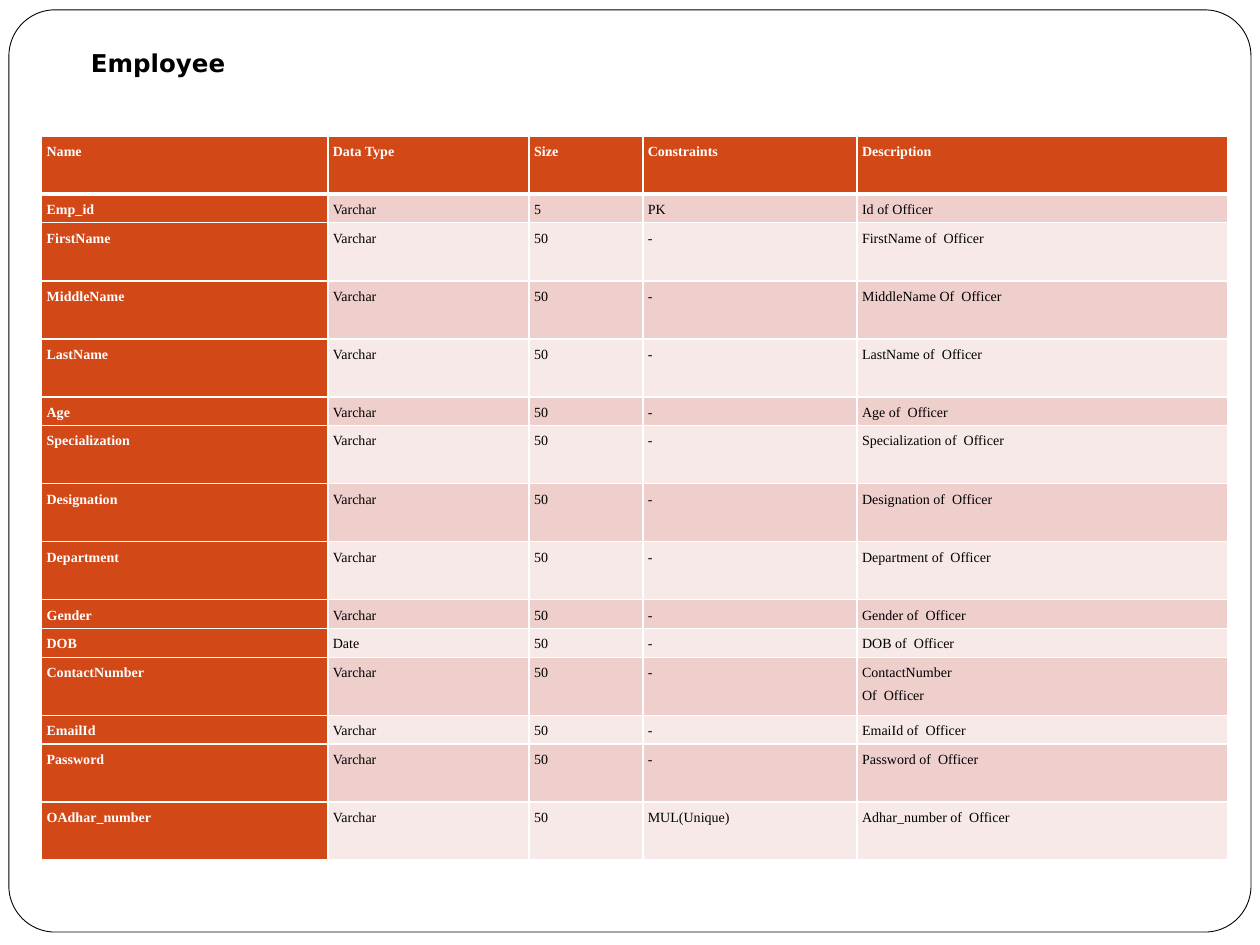
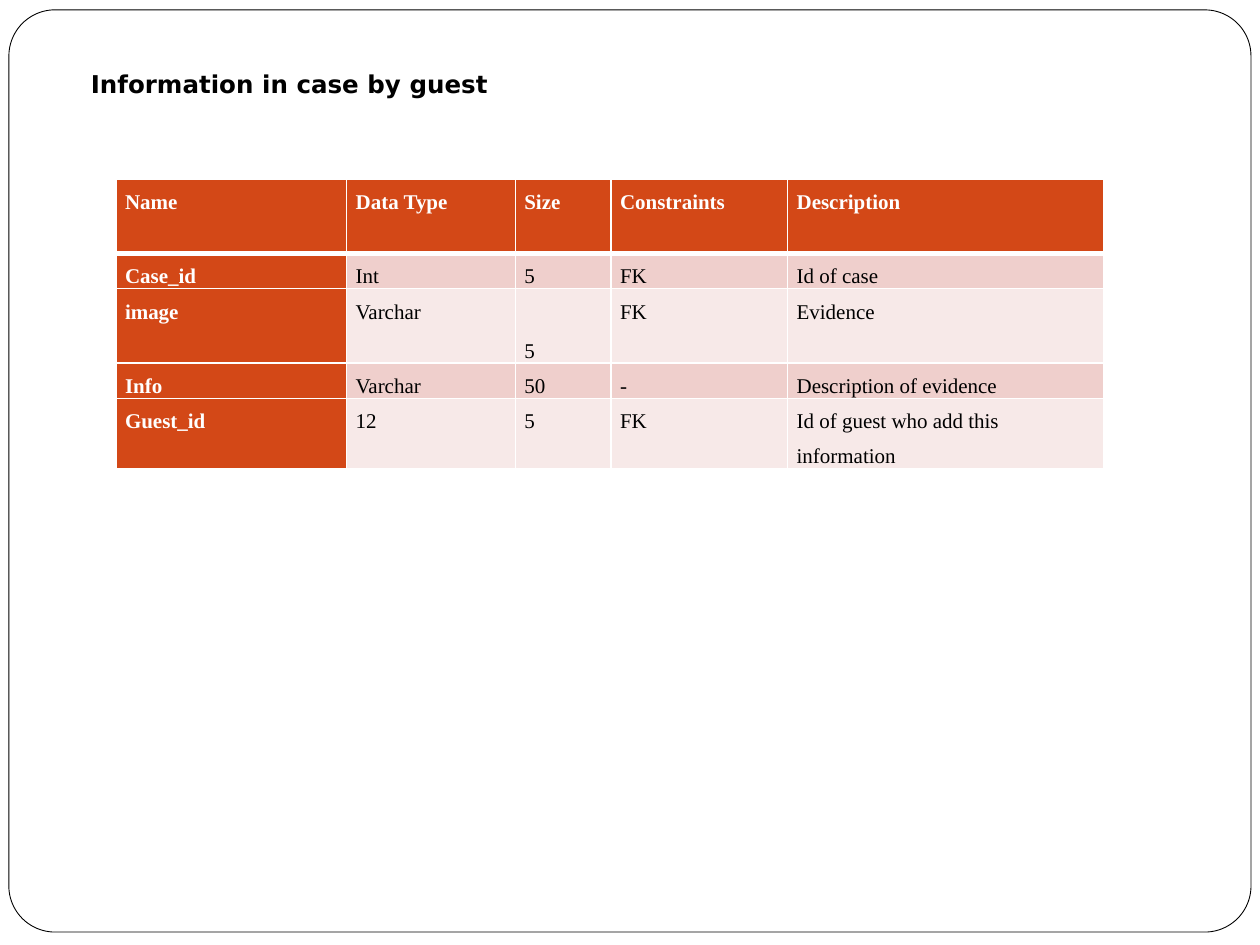
from dataclasses import dataclass

from lxml.etree import SubElement
from pptx import Presentation
from pptx.dml.color import RGBColor
from pptx.enum.shapes import MSO_SHAPE as Preset
from pptx.enum.text import MSO_ANCHOR as Anchor, PP_ALIGN as Align
from pptx.oxml.ns import qn
from pptx.slide import Slide
from pptx.table import _Cell as Cell
from pptx.text.text import TextFrame
from pptx.util import Cm, Pt

COLOURS = {
    "white": "FFFFFF",
    "black": "000000",
    "accent": "D34817",
    "band_dark": "EFCFCC",
    "band_light": "F7E9E8",
}
TITLE_FONT = "DejaVu Sans"
TABLE_FONT = "Times New Roman"
HEADERS = ("Name", "Data Type", "Size", "Constraints", "Description")


@dataclass
class Field:
    """One row of a data dictionary table."""
    name: str
    description: str
    data_type: str = "Varchar"
    size: str = "50"
    constraint: str = "-"
    tall: bool = True
    size_anchor: Anchor = Anchor.TOP

    def values(self) -> tuple[str, ...]:
        return self.name, self.data_type, self.size, self.constraint, self.description


@dataclass
class DictionaryTable:
    """A titled table; all lengths are in centimetres."""
    title: str
    title_top: float
    left: float
    top: float
    widths: tuple[float, ...]
    tall_row: float
    short_row: float
    font_size: float
    side_margin: float
    fields: list[Field]


EMPLOYEE = DictionaryTable(
    title="Employee", title_top=0.84, left=0.84, top=2.74,
    widths=(5.77, 4.06, 2.29, 4.32, 7.47),
    tall_row=1.17, short_row=0.58, font_size=8, side_margin=0.1,
    fields=[
        Field("Emp_id", "Id of Officer", size="5", constraint="PK", tall=False),
        Field("FirstName", "FirstName of  Officer"),
        Field("MiddleName", "MiddleName Of  Officer"),
        Field("LastName", "LastName of  Officer"),
        Field("Age", "Age of  Officer", tall=False),
        Field("Specialization", "Specialization of  Officer"),
        Field("Designation", "Designation of  Officer"),
        Field("Department", "Department of  Officer"),
        Field("Gender", "Gender of  Officer", tall=False),
        Field("DOB", "DOB of  Officer", data_type="Date", tall=False),
        Field("ContactNumber", "ContactNumber\nOf  Officer"),
        Field("EmailId", "EmaiId of  Officer", tall=False),
        Field("Password", "Password of  Officer"),
        Field("OAdhar_number", "Adhar_number of  Officer", constraint="MUL(Unique)"),
    ],
)
GUEST_CASE = DictionaryTable(
    title="Information in case by guest", title_top=1.27, left=2.34, top=3.61,
    widths=(4.65, 3.4, 1.93, 3.56, 6.38),
    tall_row=1.5, short_row=0.71, font_size=12, side_margin=0.18,
    fields=[
        Field("Case_id", "Id of case", "Int", "5", "FK", tall=False),
        Field("image", "Evidence", size="5", constraint="FK", size_anchor=Anchor.BOTTOM),
        Field("Info", "Description of evidence", tall=False),
        Field("Guest_id", "Id of guest who add this information", "12", "5", "FK",
              tall=False),
    ],
)


def colour(name: str) -> RGBColor:
    return RGBColor.from_string(COLOURS[name])


def write_text(frame: TextFrame, text: str, *, font: str, size: float,
               colour_name: str = "black", bold: bool = False,
               line_spacing: float = 1.0) -> None:
    """Fill a text frame, one paragraph for each line of text."""
    frame.text = text
    frame.word_wrap = True
    for paragraph in frame.paragraphs:
        paragraph.alignment = Align.LEFT
        paragraph.line_spacing = line_spacing
        for run in paragraph.runs:
            run.font.name = font
            run.font.size = Pt(size)
            run.font.bold = bold
            run.font.color.rgb = colour(colour_name)


def set_borders(cell: Cell, *, top: float, bottom: float) -> None:
    """Draw white borders with widths in points; the sides are 1 point."""
    properties = cell._tc.get_or_add_tcPr()
    for side, width in (("L", 1), ("R", 1), ("T", top), ("B", bottom)):
        line = SubElement(properties, qn(f"a:ln{side}"), w=str(Pt(width)))
        fill = SubElement(line, qn("a:solidFill"))
        SubElement(fill, qn("a:srgbClr"), val=COLOURS["white"])


def add_frame(slide: Slide) -> None:
    """Put the rounded frame on the slide's layout, behind everything."""
    frame = slide.shapes.add_shape(
        Preset.ROUNDED_RECTANGLE, Cm(0.18), Cm(0.2), Cm(25.04), Cm(18.59))
    frame.adjustments[0] = 0.05
    frame.shadow.inherit = False
    frame.fill.solid()
    frame.fill.fore_color.rgb = colour("white")
    frame.line.color.rgb = colour("black")
    frame.line.width = Pt(0.5)
    slide.slide_layout.shapes._spTree.insert(2, frame._element)


def add_title(slide: Slide, text: str, top: float) -> None:
    title = slide.shapes.title
    title.left, title.top, title.width, title.height = Cm(1.27), Cm(top), Cm(22.86), Cm(1.2)
    frame = title.text_frame
    write_text(frame, text, font=TITLE_FONT, size=14, bold=True)
    frame.vertical_anchor = Anchor.TOP
    frame.margin_left = Cm(0.56)


def add_dictionary(slide: Slide, content: DictionaryTable) -> None:
    rows = [HEADERS] + [field.values() for field in content.fields]
    heights = [content.tall_row] + [
        content.tall_row if field.tall else content.short_row for field in content.fields]
    table = slide.shapes.add_table(
        len(rows), len(HEADERS), Cm(content.left), Cm(content.top),
        Cm(sum(content.widths)), Cm(sum(heights))).table
    table.horz_banding = False
    for column, width in zip(table.columns, content.widths):
        column.width = Cm(width)

    for row_index, (values, height) in enumerate(zip(rows, heights)):
        table.rows[row_index].height = Cm(height)
        band = "band_dark" if row_index % 2 else "band_light"
        for column_index, value in enumerate(values):
            cell = table.cell(row_index, column_index)
            heading = row_index == 0 or column_index == 0
            cell.margin_left = cell.margin_right = Cm(content.side_margin)
            cell.margin_top = cell.margin_bottom = 0
            set_borders(cell, top=3 if row_index == 1 else 1,
                        bottom=3 if row_index == 0 else 1)
            cell.fill.solid()
            cell.fill.fore_color.rgb = colour("accent" if heading else band)
            write_text(cell.text_frame, value, font=TABLE_FONT, size=content.font_size,
                       colour_name="white" if heading else "black", bold=heading,
                       line_spacing=1.5)

    # Anchor of the size column
    for row_index, field in enumerate(content.fields, start=1):
        table.cell(row_index, HEADERS.index("Size")).vertical_anchor = field.size_anchor


def main() -> None:
    presentation = Presentation()
    presentation.slide_width, presentation.slide_height = Cm(25.4), Cm(19.05)
    title_only = presentation.slide_layouts[5]
    for number, content in enumerate((EMPLOYEE, GUEST_CASE)):
        slide = presentation.slides.add_slide(title_only)
        if number == 0:
            add_frame(slide)  # the layout shares it with every slide
        add_title(slide, content.title, content.title_top)
        add_dictionary(slide, content)
    presentation.save("out.pptx")


if __name__ == "__main__":
    main()
